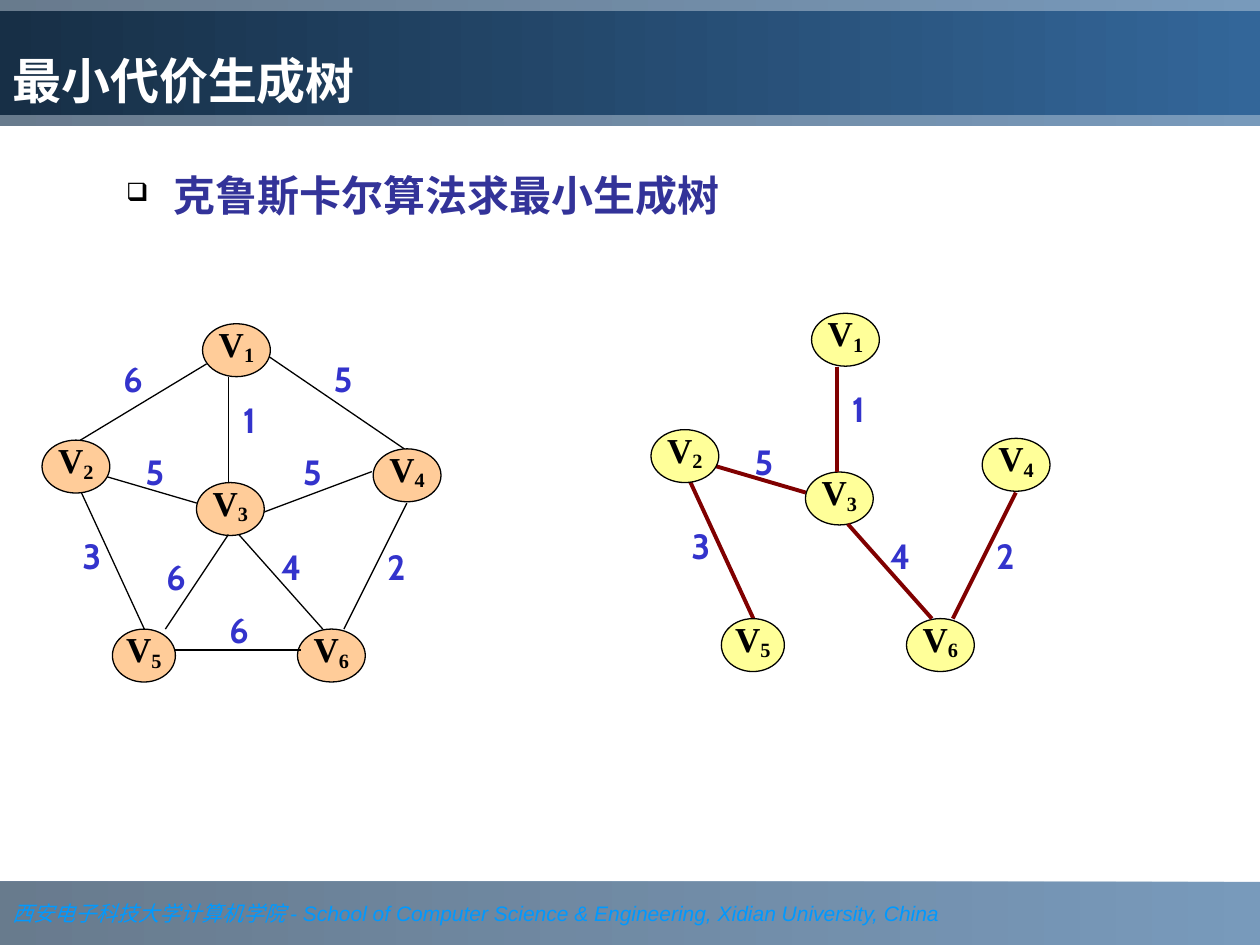
"""Builds a slide on Kruskal's algorithm: a weighted graph beside its minimum spanning tree."""
from typing import Any, NamedTuple

import pptx
import pptx.dml.color
import pptx.enum.shapes
import pptx.enum.text
import pptx.oxml
import pptx.oxml.ns
import pptx.util

Pt = pptx.util.Pt
SHAPE = pptx.enum.shapes.MSO_SHAPE
ANCHOR = pptx.enum.text.MSO_ANCHOR
ALIGN = pptx.enum.text.PP_ALIGN

COLOURS = {
    "sky": "336699", "navy": "1B3753", "deep": "172F46", "white": "FFFFFF",
    "black": "000000", "heading": "333399", "weight": "3333CC",
    "footer": "0099FF", "peach": "FFCC99", "lemon": "FFFF99", "maroon": "800000",
}
CJK = "Noto Sans CJK SC"
VERTEX_FONT = {"name": "Times New Roman", "size": Pt(20), "bold": True}
WEIGHT_FONT = {"name": "Cabin", "size": Pt(20), "bold": True}
HEADING_FONT = {"name": CJK, "size": Pt(24), "bold": True}
TITLE_FONT = {"name": "Cabin", "size": Pt(28), "bold": True}
FOOTER_FONT = {"size": Pt(12), "italic": True}
NO_MARGINS = {f"margin_{side}": 0 for side in ("left", "top", "right", "bottom")}


class Box(NamedTuple):
    left: float
    top: float
    width: float
    height: float


class Vertex(NamedTuple):
    number: int
    left: float
    top: float
    width: float = 38.75


class Edge(NamedTuple):
    start: tuple[float, float]
    end: tuple[float, float]
    weight: int
    label: tuple[float, float]
    in_tree: bool
    in_front: bool


class Drawing(NamedTuple):
    dx: float
    dy: float
    vertex_colour: str
    edge_colour: str
    edge_width: float
    edges: list[Edge]


VERTICES = [
    Vertex(4, 213.25, 256.5), Vertex(1, 115.75, 185), Vertex(3, 112.25, 275.75),
    Vertex(2, 24, 251.5), Vertex(6, 170, 359.5), Vertex(5, 64.25, 359.5, 36),
]
EDGES = [
    Edge((118, 208), (46, 251.5), 6, (64, 204), False, False),
    Edge((154, 204), (232.5, 257.5), 5, (184, 204), False, False),
    Edge((46.5, 281.5), (82.5, 359.5), 3, (40.5, 305.5), True, False),
    Edge((112.5, 287.5), (54.5, 270.5), 5, (76.5, 257.5), True, False),
    Edge((148.5, 293.5), (212.5, 269.5), 5, (166.5, 257.5), False, False),
    Edge((232.5, 287.5), (196.5, 359.5), 2, (214.5, 311.5), True, True),
    Edge((100, 371.5), (172, 371.5), 6, (124.5, 347.5), False, True),
    Edge((130.5, 215.5), (130.5, 275.5), 1, (130.5, 227.5), True, True),
    Edge((130.5, 305.5), (94.5, 359.5), 6, (88.5, 317.5), False, True),
    Edge((136.5, 305.5), (184.5, 359.5), 4, (154.5, 311.5), True, True),
]
DRAWINGS = [
    Drawing(0, 0, "peach", "black", 0.75, EDGES),
    Drawing(348, -6, "lemon", "maroon", 2.25, [edge for edge in EDGES if edge.in_tree]),
]


def rgb(colour: str) -> Any:
    """Turn a palette name into a colour value."""
    return pptx.dml.color.RGBColor.from_string(COLOURS[colour])


def apply(target: Any, values: dict[str, Any]) -> None:
    """Set each named attribute on the target."""
    for attribute, value in values.items():
        setattr(target, attribute, value)


def add_child(parent: Any, tag: str, **attributes: str) -> Any:
    """Append a drawing element with attributes."""
    child = pptx.oxml.parse_xml(f'<a:{tag} {pptx.oxml.ns.nsdecls("a")}/>')
    for attribute, value in attributes.items():
        child.set(attribute, value)
    parent.append(child)
    return child


def add_run(paragraph: Any, text: str, colour: str, font: dict[str, Any]) -> Any:
    """Add a formatted run with an East Asian font."""
    run = paragraph.add_run()
    run.text = text
    apply(run.font, font)
    run.font.color.rgb = rgb(colour)
    add_child(run.font._element, "ea", typeface=CJK)
    return run


def add_shape(slide: Any, preset: Any, box: Box) -> Any:
    """Add a preset shape without a shadow."""
    shape = slide.shapes.add_shape(preset, *map(Pt, box))
    shape.shadow.inherit = False
    return shape


def add_band(slide: Any, box: Box, dark: str, opacity: int = 100) -> Any:
    """Add a full-width gradient band and return its paragraph."""
    band = add_shape(slide, SHAPE.RECTANGLE, box)
    band.line.fill.background()
    band.fill.gradient()
    band.fill.gradient_angle = 180
    for stop, colour in zip(band.fill.gradient_stops, ("sky", dark)):
        stop.color.rgb = rgb(colour)
    if opacity < 100:
        for colour in band._element.spPr.iter(pptx.oxml.ns.qn("a:srgbClr")):
            add_child(colour, "alpha", val=str(opacity * 1000))
    apply(band.text_frame, {"word_wrap": True, "vertical_anchor": ANCHOR.MIDDLE})
    paragraph = band.text_frame.paragraphs[0]
    paragraph.alignment = ALIGN.LEFT
    return paragraph


def add_heading(slide: Any, text: str) -> None:
    """Add the bulleted heading."""
    heading = slide.shapes.add_textbox(*map(Pt, Box(65, 90.75, 567.5, 61)))
    heading.text_frame.word_wrap = True
    paragraph = heading.text_frame.paragraphs[0]
    paragraph.line_spacing = 1.1
    properties = paragraph._p.get_or_add_pPr()
    properties.set("marL", str(Pt(27)))
    properties.set("indent", str(-Pt(27)))
    add_child(add_child(properties, "buClr"), "srgbClr", val=COLOURS["black"])
    add_child(properties, "buSzPct", val="60000")
    add_child(properties, "buChar", char="❑")
    add_run(paragraph, text, "heading", HEADING_FONT)


def add_vertex(slide: Any, vertex: Vertex, drawing: Drawing) -> None:
    """Add an oval with its subscripted name."""
    box = Box(vertex.left + drawing.dx, vertex.top + drawing.dy, vertex.width, 30.25)
    oval = add_shape(slide, SHAPE.OVAL, box)
    oval.fill.solid()
    oval.fill.fore_color.rgb = rgb(drawing.vertex_colour)
    oval.line.color.rgb = rgb("black")
    oval.line.width = Pt(0.75)
    apply(oval.text_frame, {**NO_MARGINS, "word_wrap": True, "vertical_anchor": ANCHOR.TOP})
    paragraph = oval.text_frame.paragraphs[0]
    apply(paragraph, {"alignment": ALIGN.CENTER, "line_spacing": 0.72})
    add_run(paragraph, "V", "black", VERTEX_FONT)
    subscript = add_run(paragraph, str(vertex.number), "black", VERTEX_FONT)
    subscript.font._element.set("baseline", "-16000")


def add_edge(slide: Any, edge: Edge, drawing: Drawing) -> None:
    """Add the line of an edge."""
    ends = [Pt(place + shift) for point in (edge.start, edge.end)
            for place, shift in zip(point, (drawing.dx, drawing.dy))]
    line = slide.shapes.add_connector(pptx.enum.shapes.MSO_CONNECTOR.STRAIGHT, *ends)
    line.line.color.rgb = rgb(drawing.edge_colour)
    line.line.width = Pt(drawing.edge_width)
    add_child(line._element.spPr, "effectLst")


def add_weight(slide: Any, edge: Edge, drawing: Drawing) -> None:
    """Add the weight beside an edge."""
    left, top = edge.label
    box = Box(left + drawing.dx, top + drawing.dy, 24, 24)
    weight = slide.shapes.add_textbox(*map(Pt, box))
    apply(weight.text_frame, {**NO_MARGINS, "word_wrap": True})
    paragraph = weight.text_frame.paragraphs[0]
    paragraph.alignment = ALIGN.CENTER
    add_run(paragraph, str(edge.weight), "weight", WEIGHT_FONT)


def add_graph(slide: Any, drawing: Drawing) -> None:
    """Add the edges, vertices and weights of one graph."""
    for edge in drawing.edges:
        if not edge.in_front:
            add_edge(slide, edge, drawing)
    for vertex in VERTICES:
        add_vertex(slide, vertex, drawing)
    for edge in drawing.edges:
        if edge.in_front:
            add_edge(slide, edge, drawing)
    for edge in drawing.edges:
        add_weight(slide, edge, drawing)


def main() -> None:
    """Build and save the slide."""
    deck = pptx.Presentation()
    apply(deck, {"slide_width": Pt(720), "slide_height": Pt(540)})
    slide = deck.slides.add_slide(deck.slide_layouts[6])
    footer = add_band(slide, Box(0, 504, 720, 36), "navy", 66)
    add_run(footer, "西安电子科技大学计算机学院 ", "footer", {**FOOTER_FONT, "name": "Times New Roman"})
    add_run(footer, "- School of Computer Science & Engineering, Xidian University, China",
            "footer", {**FOOTER_FONT, "name": "Arial"})
    add_band(slide, Box(0, 0, 720, 72), "navy", 66)
    add_heading(slide, "克鲁斯卡尔算法求最小生成树")
    for drawing in DRAWINGS:
        add_graph(slide, drawing)
    title = add_band(slide, Box(0, 6, 720, 60), "deep")
    title._parent.vertical_anchor = ANCHOR.BOTTOM
    add_run(title, "最小代价生成树", "white", TITLE_FONT)
    deck.save("out.pptx")


if __name__ == "__main__":
    main()
